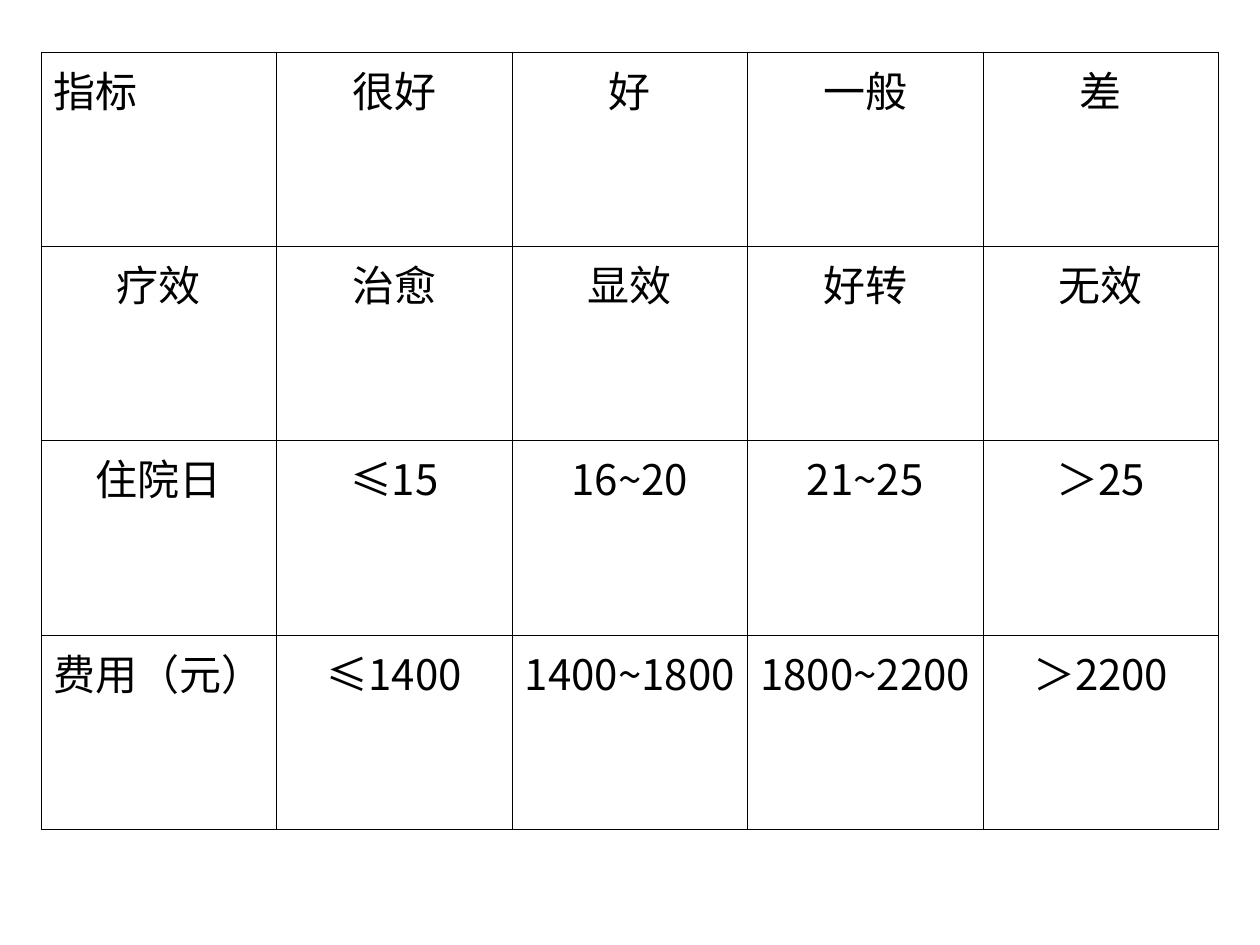
from dataclasses import dataclass

from lxml import etree
from pptx import Presentation
from pptx import util as u
from pptx.dml.color import RGBColor
from pptx.enum import text
from pptx.oxml.ns import qn


@dataclass(frozen=True)
class Theme:
    font: str = "Noto Sans CJK SC"
    size: u.Pt = u.Pt(24)
    ink: str = "000000"
    paper: str = "FFFFFF"
    thin: u.Pt = u.Pt(0.34)
    thick: u.Pt = u.Pt(0.45)
    hanging: u.Cm = u.Cm(0.95)


THEME = Theme()

GRADES = [
    ["指标", "很好", "好", "一般", "差"],
    ["疗效", "治愈", "显效", "好转", "无效"],
    ["住院日", "≤15", "16~20", "21~25", "＞25"],
    ["费用（元）", "≤1400", "1400~1800", "1800~2200", "＞2200"],
]


def set_border(cell, side, width):
    """Draw one side (L, R, T or B) of a cell as a solid line."""
    properties = cell._tc.get_or_add_tcPr()
    line = etree.SubElement(properties, qn(f"a:ln{side}"), w=str(int(width)))
    fill = etree.SubElement(line, qn("a:solidFill"))
    etree.SubElement(fill, qn("a:srgbClr"), val=THEME.ink)


def write_text(cell, wording, alignment):
    paragraph = cell.text_frame.paragraphs[0]
    paragraph.alignment = alignment
    properties = paragraph._p.get_or_add_pPr()
    properties.set("marL", str(int(THEME.hanging)))
    properties.set("indent", str(-int(THEME.hanging)))

    run = paragraph.add_run()
    run.text = wording
    for name, value in {"name": THEME.font, "size": THEME.size}.items():
        setattr(run.font, name, value)
    run.font.color.rgb = RGBColor.from_string(THEME.ink)
    run_properties = run._r.get_or_add_rPr()
    run_properties.set("lang", "zh-CN")
    latin = run_properties.find(qn("a:latin"))
    east_asian = etree.Element(qn("a:ea"), typeface=THEME.font)
    latin.addnext(east_asian)


def format_cell(cell, top, bottom):
    widths = {"L": THEME.thin, "R": THEME.thin, "T": top, "B": bottom}
    for side, width in widths.items():
        set_border(cell, side, width)
    cell.fill.solid()
    cell.fill.fore_color.rgb = RGBColor.from_string(THEME.paper)


def add_grades(slide):
    row_count, column_count = len(GRADES), len(GRADES[0])
    table = slide.shapes.add_table(
        row_count, column_count, u.Cm(0.83), u.Cm(1.05), u.Cm(23.73), u.Cm(15.67)
    ).table
    for flag in ("first_row", "horz_banding"):
        setattr(table, flag, False)

    # The header row and the foot of the table have the heavier rules.
    inner_rules = [THEME.thin] * (row_count - 2)
    rules = [THEME.thick, THEME.thick, *inner_rules, THEME.thick]
    for row, wordings in enumerate(GRADES):
        for column, wording in enumerate(wordings):
            cell = table.cell(row, column)
            corner = row == column == 0
            alignment = text.PP_ALIGN.LEFT if corner else text.PP_ALIGN.CENTER
            write_text(cell, wording, alignment)
            format_cell(cell, rules[row], rules[row + 1])


def main():
    deck = Presentation()
    deck.slide_width, deck.slide_height = u.Cm(25.4), u.Cm(19.05)
    blank_layout = deck.slide_layouts[6]
    add_grades(deck.slides.add_slide(blank_layout))
    deck.save("out.pptx")


if __name__ == "__main__":
    main()
